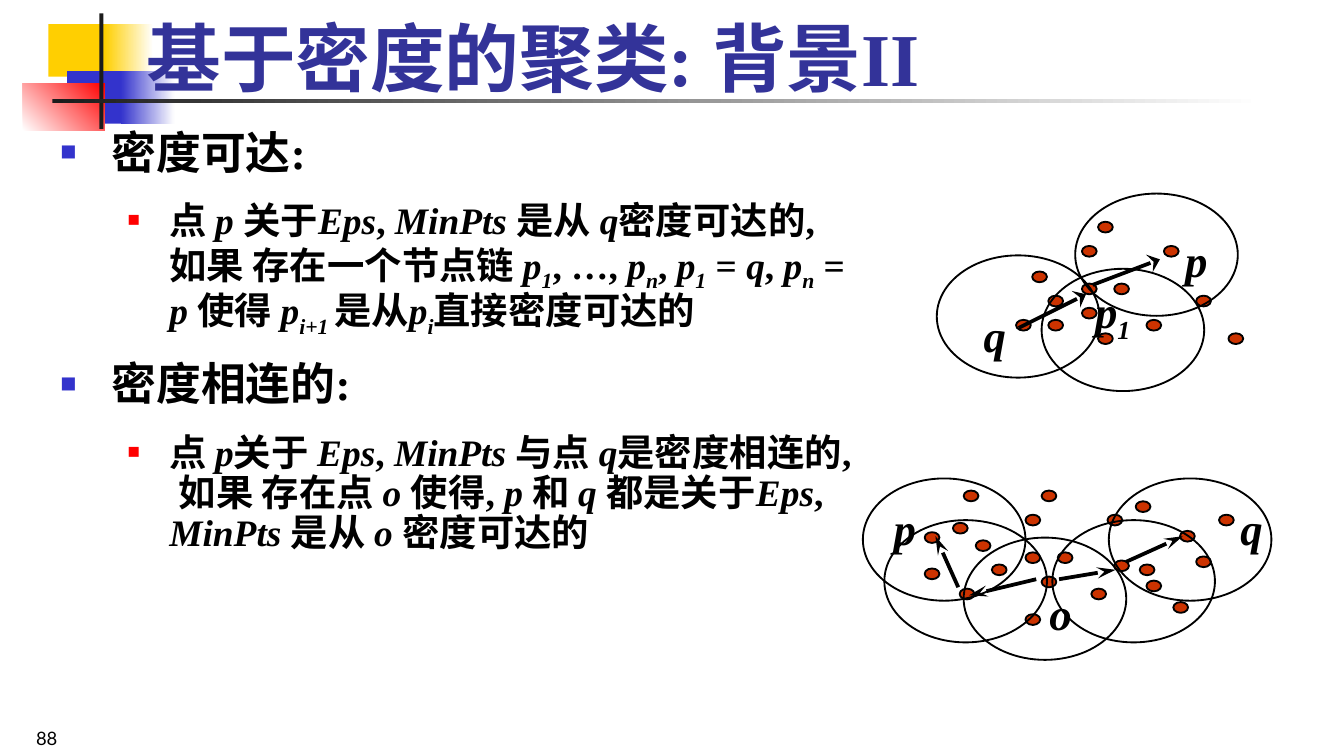
from lxml import etree
from pptx import Presentation
from pptx.dml.color import RGBColor
from pptx.enum import shapes, text
from pptx.oxml.ns import qn
from pptx.util import Inches, Pt

THEME = {
    "serif": "Times New Roman", "sans": "Lato",
    "title": "333399", "ink": "000000", "bar": "1C1C1C", "white": "FFFFFF",
    "yellow": "FFCF01", "blue": "3333CC", "red": "FF0000", "point": "CC3300",
    "title_size": 40, "topic_size": 24, "detail_size": 20, "label_size": 24, "number_size": 9.9,
}


def rgb(name):
    return RGBColor.from_string(THEME[name])


def add_runs(paragraph, markup, size, color="ink", face="serif", bold=True):
    """Add runs; *...* is italic and, inside it, _..._ is subscript."""
    for i, chunk in enumerate(markup.split("*")):
        for j, piece in enumerate(chunk.split("_")):
            if not piece:
                continue
            run = paragraph.add_run()
            run.text = piece
            run.font.name = THEME[face]
            run.font.size = Pt(THEME[size])
            run.font.color.rgb = rgb(color)
            run.font.bold = bold
            run.font.italic = i % 2 == 1
            if j % 2:
                run.font._element.set("baseline", "-25000")


# 16:9 slide
prs = Presentation()
prs.slide_width = Inches(10)
prs.slide_height = prs.slide_width * 9 // 16
slide = prs.slides.add_slide(prs.slide_layouts[1])

# Corner decoration, behind the text: box, start colour, end colour, angle
decoration = [
    ((0.36, 0.18, 0.48, 0.39), "yellow", None, 0),
    ((0.78, 0.18, 0.36, 0.39), "yellow", "white", 0),
    ((0.5, 0.53, 0.46, 0.39), "blue", None, 0),
    ((0.9, 0.53, 0.4, 0.39), "blue", "white", 0),
    ((0.17, 0.62, 0.61, 0.35), "white", "red", 45),
    ((0.74, 0.1, 0.03, 0.86), "bar", None, 0),
    ((0.39, 0.74, 9, 0.03), "bar", "white", 0),
]
for depth, (box, start, end, angle) in enumerate(decoration):
    block = slide.shapes.add_shape(shapes.MSO_SHAPE.RECTANGLE, *map(Inches, box))
    block.shadow.inherit = False
    block.line.fill.background()
    if end:
        block.fill.gradient()
        block.fill.gradient_angle = angle
        for stop, color in zip(block.fill.gradient_stops, (start, end)):
            stop.color.rgb = rgb(color)
    else:
        block.fill.solid()
        block.fill.fore_color.rgb = rgb(start)
    slide.shapes._spTree.insert(2 + depth, block._element)

# Title
title = slide.shapes.title
title.left, title.top, title.width, title.height = map(Inches, (0.99, 0.15, 7.46, 0.55))
title.text_frame.auto_size = text.MSO_AUTO_SIZE.NONE
title.text_frame.vertical_anchor = text.MSO_ANCHOR.MIDDLE
heading = title.text_frame.paragraphs[0]
heading.alignment = text.PP_ALIGN.LEFT
add_runs(heading, "基于密度的聚类: 背景II", "title_size", "title")

# Definitions
definitions = [
    (0, "密度可达:"),
    (1, "点 *p *关于*Eps*, *MinPts *是从 *q*密度可达的, 如果 存在一个节点链 *p_1_*, …, *p_n_*, "
        "*p_1_* = *q*, *p_n_* = *p *使得 *p_i+1 _*是从*p_i_*直接密度可达的"),
    (0, "密度相连的:"),
    (1, "点 *p*关于 *Eps*, *MinPts *与点 *q*是密度相连的, 如果 存在点 *o *使得, *p *和 *q *都是关于"
        "*Eps*, *MinPts *是从 *o *密度可达的"),
]
# Per level: size, space before, left margin, hanging indent, bullet colour, bullet percent
levels = [("topic_size", 15, 0.38, 0.38, "blue", 60), ("detail_size", 12.5, 0.81, 0.31, "red", 55)]
body = slide.placeholders[1]
body.left, body.top, body.width, body.height = map(Inches, (0.35, 0.92, 6.06, 4.2))
body.text_frame.auto_size = text.MSO_AUTO_SIZE.NONE
for n, (level, markup) in enumerate(definitions):
    size, before, margin, hanging, color, percent = levels[level]
    item = body.text_frame.add_paragraph() if n else body.text_frame.paragraphs[0]
    pPr = item._p.get_or_add_pPr()
    pPr.set("marL", str(Inches(margin)))
    pPr.set("indent", str(-Inches(hanging)))
    etree.SubElement(etree.SubElement(pPr, qn("a:buClr")), qn("a:srgbClr"), val=THEME[color])
    etree.SubElement(pPr, qn("a:buSzPct"), val=str(percent * 1000))
    etree.SubElement(pPr, qn("a:buFont"), typeface=THEME["serif"])
    etree.SubElement(pPr, qn("a:buChar"), char="■")
    item.level = level
    item.line_spacing = 0.9
    item.space_before = Pt(before if n else 0)
    add_runs(item, markup, size)

# Diagrams: points and neighbourhoods by top-left corner, labels by box, arrows by ends
reachable = {
    "points": [(7.68, 2.02), (8.05, 2.11), (8.05, 1.83), (7.56, 2.38), (7.8, 2.2), (7.8, 2.38),
               (8.17, 2.48), (8.17, 1.65), (8.9, 2.2), (8.66, 1.83), (8.05, 2.29), (8.29, 2.11),
               (8.53, 2.38), (9.14, 2.48)],
    "neighbourhoods": [(7.75, 2), (6.97, 1.9), (8, 1.44)],
    "labels": [("*p*", 8.72, 1.68, 0.42), ("*q*", 7.22, 2.24, 0.42), ("*p_1_*", 8.05, 2.06, 0.67)],
    "arrows": [(8.13, 2.12, 8.63, 1.93), (7.58, 2.44, 8.08, 2.19)],
    "head": {"w": "lg", "len": "med"},
}
connected = {
    "points": [(7.26, 4.02), (7.63, 4.11), (7.63, 3.83), (7.14, 4.38), (7.38, 4.2), (7.63, 4.57),
               (7.75, 4.29), (7.75, 3.65), (8.48, 4.2), (8.24, 3.83), (6.88, 4.23), (7.87, 4.11),
               (8.12, 4.38), (8.73, 4.48), (8.9, 4.14), (8.29, 4.17), (8.53, 4.32), (9.07, 3.83),
               (8.45, 3.73), (8.78, 3.95), (7.09, 3.89), (6.88, 3.96), (7.17, 3.65)],
    "neighbourhoods": [(6.58, 3.87), (7.17, 4), (7.83, 3.87), (8.25, 3.56), (6.42, 3.56)],
    "labels": [("*p*", 6.55, 3.68, 0.42), ("*q*", 9.13, 3.68, 0.42), ("*o*", 7.71, 4.31, 0.42)],
    "arrows": [(7.71, 4.31, 7.21, 4.43), (7.88, 4.31, 8.3, 4.24),
               (7.13, 4.37, 6.96, 3.99), (8.38, 4.18, 8.8, 3.99)],
    "head": {"w": "med", "len": "lg"},
}
for diagram, canvas in ((reachable, slide.shapes), (connected, slide.shapes.add_group_shape().shapes)):
    for part, width, height in (("points", 0.11, 0.08), ("neighbourhoods", 1.21, 0.91)):
        for x, y in diagram[part]:
            oval = canvas.add_shape(shapes.MSO_SHAPE.OVAL, *map(Inches, (x, y, width, height)))
            oval.shadow.inherit = False
            oval.line.color.rgb = rgb("ink")
            oval.line.width = Pt(1)
            if part == "points":
                oval.fill.solid()
                oval.fill.fore_color.rgb = rgb("point")
            else:
                oval.fill.background()

    for markup, x, y, width in diagram["labels"]:
        label = canvas.add_textbox(*map(Inches, (x, y, width, 0.5)))
        label.text_frame.word_wrap = True
        add_runs(label.text_frame.paragraphs[0], markup, "label_size")

    for ends in diagram["arrows"]:
        arrow = canvas.add_connector(shapes.MSO_CONNECTOR.STRAIGHT, *map(Inches, ends))
        arrow.line.color.rgb = rgb("ink")
        arrow.line.width = Pt(2)
        etree.SubElement(arrow.line._get_or_add_ln(), qn("a:tailEnd"), type="stealth", **diagram["head"])
        etree.SubElement(arrow._element.spPr, qn("a:effectLst"))

# Page number
number = slide.shapes.add_textbox(*map(Inches, (0.17, 5.31, 2.75, 0.31)))
number.text_frame.word_wrap = True
number.text_frame.vertical_anchor = text.MSO_ANCHOR.BOTTOM
number.text_frame.paragraphs[0].line_spacing = 0.8
add_runs(number.text_frame.paragraphs[0], "88", "number_size", face="sans", bold=False)

prs.save("out.pptx")
